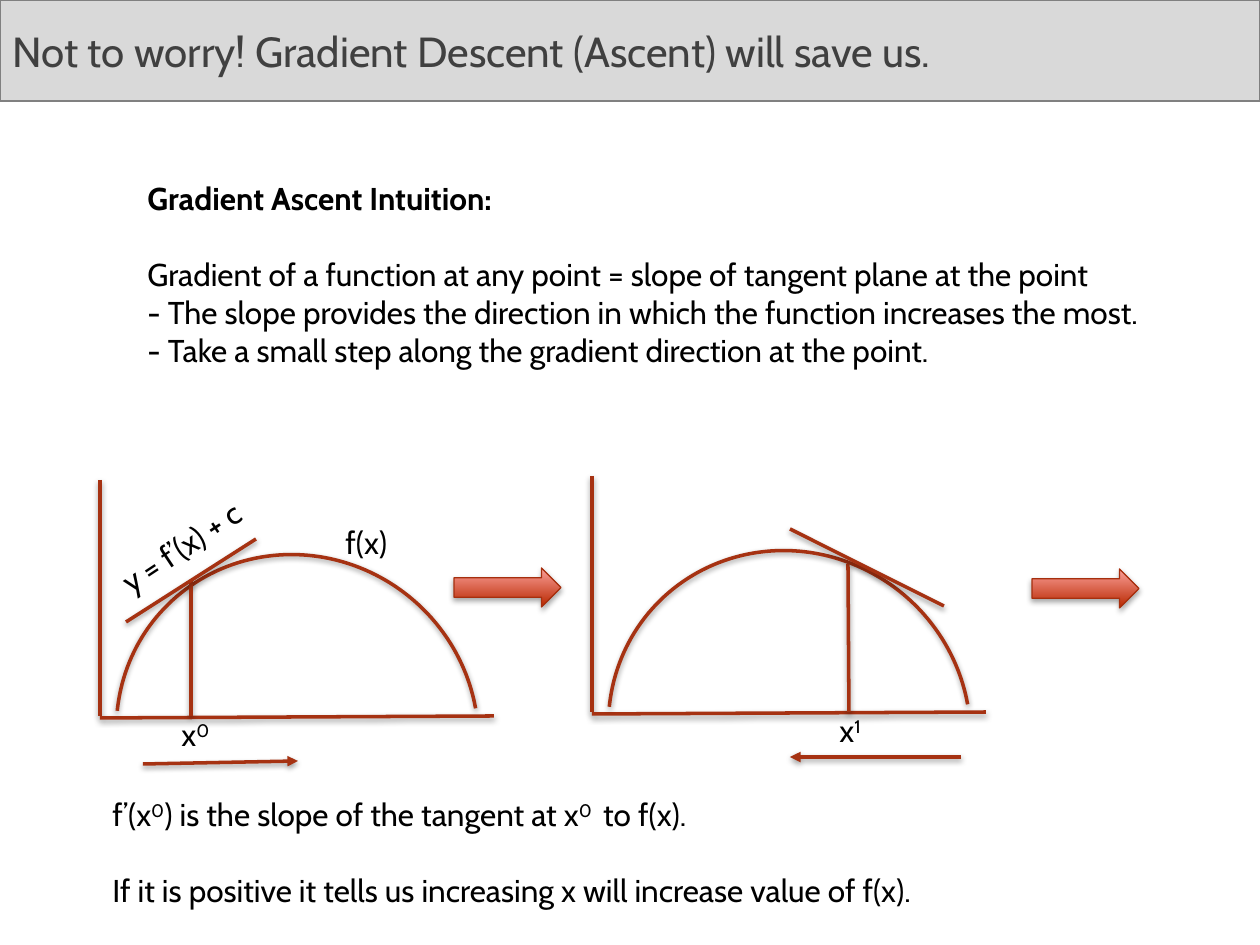
import pptx
import pptx.util
import pptx.dml.color
import pptx.enum.shapes
import pptx.enum.text
import pptx.oxml
import pptx.oxml.ns

PX = 914400 / 126
FONT = "Cabin"
COLORS = {
    "bar": "D9D9D9", "bar_line": "808080", "title": "404040", "text": "000000",
    "curve": "A63212", "arrow_line": "A62F0E", "arrow_dark": "B82800",
    "arrow_light": "FBA09A", "shadow": "000000",
}


def px(*lengths):
    """Turn pixel lengths into EMU."""
    return [pptx.util.Emu(round(n * PX)) for n in lengths]


def rgb(name):
    """Look up a named colour."""
    return pptx.dml.color.RGBColor.from_string(COLORS[name])


def set_line(sp, color, width):
    """Set the outline colour and width in points."""
    sp.line.color.rgb = rgb(color)
    sp.line.width = pptx.util.Pt(width)


def add_shadow(sp, distance, alpha):
    """Give a shape a soft shadow that falls straight down."""
    sp._element.spPr.append(pptx.oxml.parse_xml(
        f'<a:effectLst {pptx.oxml.ns.nsdecls("a")}>'
        f'<a:outerShdw blurRad="40000" dist="{distance}" dir="5400000" rotWithShape="0">'
        f'<a:srgbClr val="{COLORS["shadow"]}"><a:alpha val="{alpha}"/></a:srgbClr>'
        '</a:outerShdw></a:effectLst>'))


def add_run(p, text, size=18, color="text", bold=False, raised=False):
    """Add one formatted run to a paragraph."""
    r = p.add_run()
    r.text = text
    r.font.name = FONT
    r.font.size = pptx.util.Pt(size)
    r.font.bold = bold
    r.font.color.rgb = rgb(color)
    if raised:
        r._r.get_or_add_rPr().set("baseline", "30000")


def add_text(shapes, box, paragraphs, gap_before=None, rotation=0):
    """Add a text box of paragraphs, each a list of (text, format) runs."""
    sp = shapes.add_textbox(*px(*box))
    sp.rotation = rotation
    tf = sp.text_frame
    tf.word_wrap = True
    for i, runs in enumerate(paragraphs):
        p = tf.paragraphs[0] if i == 0 else tf.add_paragraph()
        if i == gap_before:
            p.space_before = pptx.util.Pt(21.8)
        for text, style in runs:
            add_run(p, text, **style)


def add_stroke(shapes, origin, ends, arrow=False):
    """Draw a line between two points given relative to an origin."""
    x, y = origin
    x1, y1, x2, y2 = ends
    sp = shapes.add_connector(pptx.enum.shapes.MSO_CONNECTOR.STRAIGHT,
                              *px(x + x1, y + y1, x + x2, y + y2))
    set_line(sp, "curve", 2)
    if arrow:
        sp.line._get_or_add_ln().append(pptx.oxml.parse_xml(
            f'<a:tailEnd {pptx.oxml.ns.nsdecls("a")} type="triangle"/>'))
    add_shadow(sp, 20000, 38000)


def add_title(s, box):
    """Format the title placeholder as a bar."""
    sp = s.shapes.title
    sp.left, sp.top, sp.width, sp.height = px(*box)
    sp.fill.solid()
    sp.fill.fore_color.rgb = rgb("bar")
    set_line(sp, "bar_line", 0.75)
    tf = sp.text_frame
    tf.vertical_anchor = pptx.enum.text.MSO_ANCHOR.MIDDLE
    p = tf.paragraphs[0]
    p.alignment = pptx.enum.text.PP_ALIGN.LEFT
    add_run(p, "Not to worry! Gradient Descent (Ascent) will save us.", 24, "title")


def add_plot(s, origin, stem, tangent, step, index):
    """Draw axes, curve, tangent and step arrow, and return the group's shapes."""
    shapes = s.shapes.add_group_shape().shapes
    x, y = origin
    for ends in ((0, 0, 0, 236), (394, 236, 0, 238)):
        add_stroke(shapes, origin, ends)
    arc = shapes.add_shape(pptx.enum.shapes.MSO_SHAPE.ARC, *px(x + 20, y + 71, 355, 367))
    arc.rotation = 309.7
    arc.adjustments[0] = 142.672
    arc.adjustments[1] = 25.163
    arc.fill.background()
    set_line(arc, "curve", 2)
    add_shadow(arc, 20000, 38000)
    add_stroke(shapes, origin, stem)
    add_stroke(shapes, origin, tangent)
    add_stroke(shapes, origin, step, arrow=True)
    add_text(shapes, (x + stem[0] - 22, y + 229, 130, 50),
             [[("x", {}), (index, {"raised": True})]])
    return shapes


def add_block_arrow(s, box):
    """Draw a shaded arrow that leads to the next step."""
    sp = s.shapes.add_shape(pptx.enum.shapes.MSO_SHAPE.RIGHT_ARROW, *px(*box))
    sp.fill.gradient()
    sp.fill.gradient_angle = 90
    for stop, color in zip(sp.fill.gradient_stops, ("arrow_dark", "arrow_light")):
        stop.color.rgb = rgb(color)
    set_line(sp, "arrow_line", 0.75)
    add_shadow(sp, 23000, 35000)


def main():
    """Build the slide and save it."""
    prs = pptx.Presentation()
    prs.slide_width, prs.slide_height = px(1260, 945)
    s = prs.slides.add_slide(prs.slide_layouts[5])
    raised = {"raised": True}

    add_title(s, (0, 0, 1260, 101))
    add_text(s.shapes, (135, 173, 1042, 204), [
        [("Gradient Ascent Intuition:", {"bold": True})],
        [("Gradient of a function at any point = slope of tangent plane at the point", {})],
        [("- The slope provides the direction in which the function increases the most.", {})],
        [("- Take a small step along the gradient direction at the point.", {})],
    ], gap_before=1)

    add_plot(s, (592, 476), (257, 236, 256, 88), (198, 53, 352, 130),
             (369, 281, 198, 281), "1")
    for left, top in ((454, 568), (1032, 569)):
        add_block_arrow(s, (left, top, 107, 39))
    add_text(s.shapes, (100, 789, 982, 127), [
        [("f’(x", {}), ("0", raised), (") is the slope of the tangent at x", {}),
         ("0 ", raised), (" to f(x).", {})],
        [("If it is positive it tells us increasing x will increase value of f(x).", {})],
    ], gap_before=1)

    x, y = origin = (100, 480)
    first = add_plot(s, origin, (91, 236, 91, 101), (26, 142, 156, 59),
                     (43, 284, 198, 281), "0")
    add_text(first, (x + 233, y + 37, 82, 50), [[("f(x)", {})]])
    add_text(first, (x - 8, y + 13, 265, 50), [[("y = f’(x) + c", {})]], rotation=326.5)
    prs.save("out.pptx")


if __name__ == "__main__":
    main()
